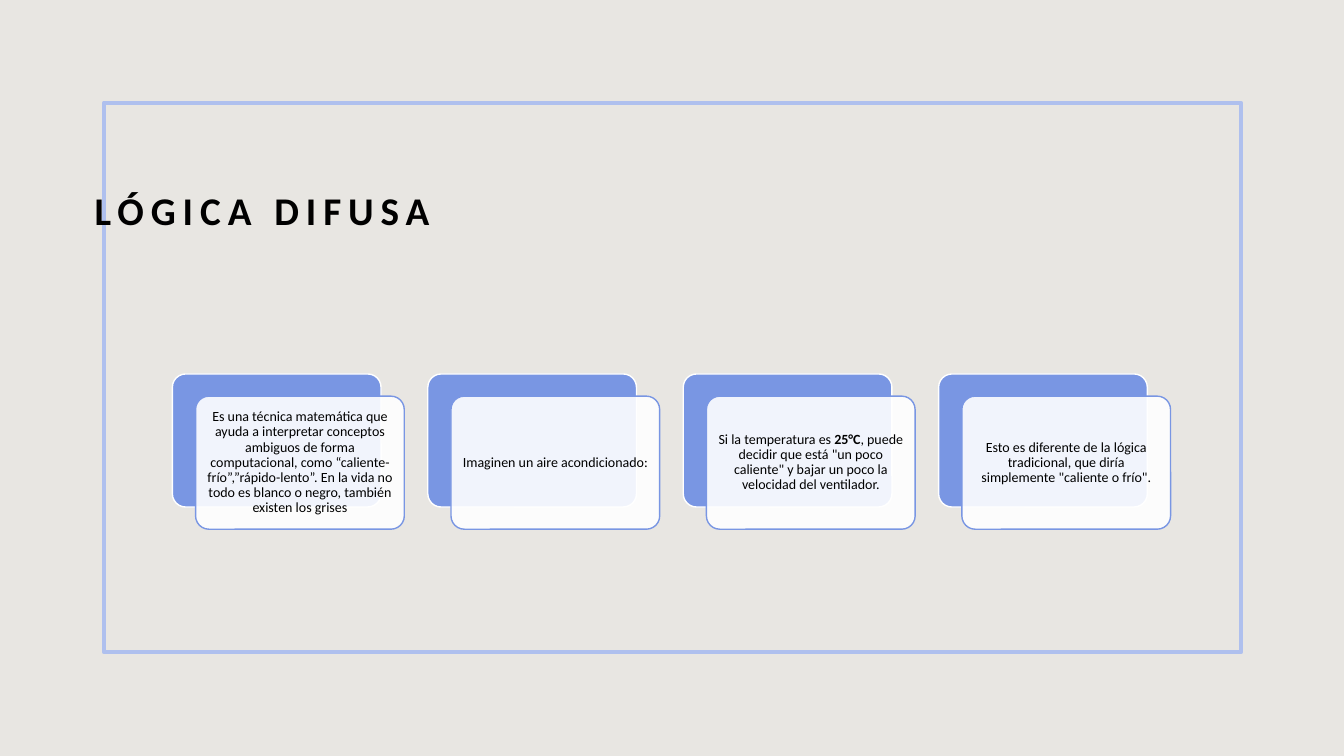
import pptx
import pptx.dml.color
import pptx.enum.shapes
import pptx.enum.text
import pptx.oxml.ns
import pptx.util
from lxml import etree

Inches = pptx.util.Inches
Pt = pptx.util.Pt
RGBColor = pptx.dml.color.RGBColor
Shape = pptx.enum.shapes.MSO_SHAPE
Align = pptx.enum.text.PP_ALIGN
Anchor = pptx.enum.text.MSO_ANCHOR
qn = pptx.oxml.ns.qn

BACKGROUND = RGBColor(0xE8, 0xE6, 0xE2)
FRAME_BLUE = RGBColor(0xAF, 0xC0, 0xEE)
CARD_BLUE = RGBColor(0x79, 0x96, 0xE3)
WHITE = RGBColor(0xFF, 0xFF, 0xFF)
BLACK = RGBColor(0x00, 0x00, 0x00)

CARDS = [
    [("Es una técnica matemática que ayuda a interpretar conceptos ambiguos de forma "
      "computacional, como “caliente-frío”,”rápido-lento”. En la vida no todo es blanco "
      "o negro, también existen los grises", False)],
    [("Imaginen un aire acondicionado:", False)],
    [("Si la temperatura es ", False), ("25°C", True),
     (', puede decidir que está "un poco caliente" y bajar un poco la velocidad '
      "del ventilador.", False)],
    [("Esto es diferente de la lógica tradicional, que diría simplemente "
      '"caliente o frío".', False)],
]
FIRST_LEFT, LAST_LEFT = 1.71, 9.31
CARD_TOP, CARD_WIDTH, CARD_HEIGHT = 3.71, 2.07, 1.32
FRONT_SHIFT_X, FRONT_SHIFT_Y = 0.23, 0.22


def apply(target, values):
    for name, value in values.items():
        setattr(target, name, value)


class SlideBuilder:
    font_name = "Calibri"
    card_margin = Inches(0.04)

    def __init__(self, slide):
        self.slide = slide
        fill = slide.background.fill
        fill.solid()
        fill.fore_color.rgb = BACKGROUND

    def box(self, kind, left, top, width, height, line_color, line_width,
            fill_color=None, opacity=100):
        shape = self.slide.shapes.add_shape(
            kind, Inches(left), Inches(top), Inches(width), Inches(height))
        shape.shadow.inherit = False
        shape.line.color.rgb = line_color
        shape.line.width = Pt(line_width)
        if fill_color is None:
            shape.fill.background()
        else:
            shape.fill.solid()
            shape.fill.fore_color.rgb = fill_color
        if opacity < 100:
            color = shape.element.spPr.find(qn("a:solidFill")).find(qn("a:srgbClr"))
            etree.SubElement(color, qn("a:alpha"), val=str(opacity * 1000))
        return shape

    def fill_text(self, shape, runs, size, alignment, line_spacing):
        frame = shape.text_frame
        apply(frame, {"word_wrap": True, "vertical_anchor": Anchor.MIDDLE})
        paragraph = frame.paragraphs[0]
        apply(paragraph, {"alignment": alignment, "line_spacing": line_spacing})
        for text, bold in runs:
            run = paragraph.add_run()
            run.text = text
            apply(run.font, {"name": self.font_name, "size": Pt(size), "bold": bold})
            run.font.color.rgb = BLACK
        return paragraph

    def title(self, text, left, top, width, height):
        shape = self.slide.shapes.add_textbox(
            Inches(left), Inches(top), Inches(width), Inches(height))
        paragraph = self.fill_text(shape, [(text, True)], 28, Align.LEFT, 1.2)
        paragraph.runs[0].font._element.set("spc", "500")

    def card(self, left, runs):
        back = self.box(Shape.ROUNDED_RECTANGLE, left, CARD_TOP,
                        CARD_WIDTH, CARD_HEIGHT, WHITE, 1, CARD_BLUE)
        front = self.box(Shape.ROUNDED_RECTANGLE, left + FRONT_SHIFT_X,
                         CARD_TOP + FRONT_SHIFT_Y, CARD_WIDTH, CARD_HEIGHT,
                         CARD_BLUE, 1, WHITE, 90)
        for shape in (back, front):
            shape.adjustments[0] = 0.1
        sides = ("left", "top", "right", "bottom")
        apply(front.text_frame, {f"margin_{side}": self.card_margin for side in sides})
        self.fill_text(front, runs, 10, Align.CENTER, 0.9)


def main():
    presentation = pptx.Presentation()
    apply(presentation, {"slide_width": Inches(13.33), "slide_height": Inches(7.5)})
    slide = presentation.slides.add_slide(presentation.slide_layouts[6])
    builder = SlideBuilder(slide)
    builder.box(Shape.RECTANGLE, 1.03, 1.02, 11.28, 5.45, FRAME_BLUE, 3)
    builder.title("LÓGICA DIFUSA", 0.84, 1.42, 8.33, 1.23)
    pitch = (LAST_LEFT - FIRST_LEFT) / (len(CARDS) - 1)
    for index, runs in enumerate(CARDS):
        builder.card(FIRST_LEFT + index * pitch, runs)
    presentation.save("out.pptx")


if __name__ == "__main__":
    main()
